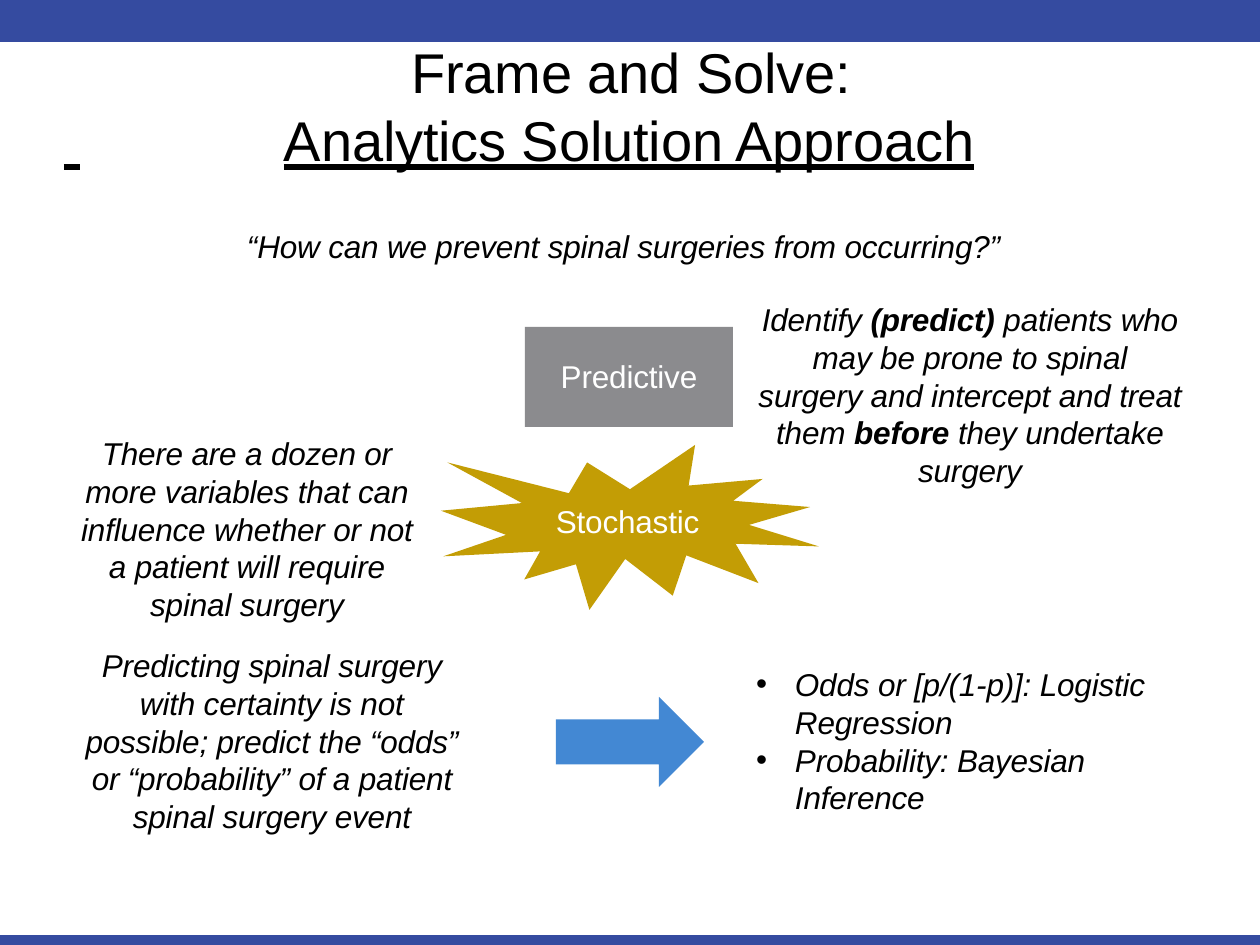
from pptx import Presentation
from pptx.dml.color import RGBColor as Rgb
from pptx.enum.shapes import MSO_CONNECTOR as Link, MSO_SHAPE as Kind
from pptx.enum.text import MSO_ANCHOR as Anchor, PP_ALIGN as Align
from pptx.enum.text import MSO_UNDERLINE as Under
from pptx.oxml.ns import qn
from pptx.util import Pt
from lxml.etree import SubElement as Sub

PX = 914400 // 126
HUES = {"bar": "354BA0", "box": "8B8B8E", "burst": "C39D05",
        "arrow": "4388D3", "ink": "000000", "pale": "FFFFFF"}


def hue(name):
    return Rgb.from_string(HUES[name])


def write(para, text, size=18, color="ink", italic=True, under=None,
          align=Align.CENTER, before=1, line=None, tabs=(), bullet=False):
    """Fill a paragraph; *stars* mark bold and newlines break the line."""
    para.alignment = align
    para.space_before = Pt(before)
    if line:
        para.line_spacing = Pt(line)
    props = para._p.get_or_add_pPr()
    if bullet:
        props.set("marL", str(42 * PX))
        props.set("indent", str(-39 * PX))
        Sub(props, qn("a:buFont"), typeface="Arial")
        Sub(props, qn("a:buChar"), char="•")
    if tabs:
        stops = Sub(props, qn("a:tabLst"))
        for stop in tabs:
            Sub(stops, qn("a:tab"), pos=str(stop * PX), algn="l")
    for num, part in enumerate(text.split("*")):
        for row, piece in enumerate(part.split("\n")):
            if row:
                para.add_line_break()
            if not piece:
                continue
            run = para.add_run()
            run.text = piece
            font = run.font
            font.name, font.size = "Arial", Pt(size)
            font.bold, font.italic = num % 2 == 1, italic
            font.underline = under
            font.color.rgb = hue(color)
            run._r.get_or_add_rPr().set("spc", "-10")


class Page:
    def __init__(self, deck):
        self.shapes = deck.slides.add_slide(deck.slide_layouts[6]).shapes

    def frame(self, shape, items, top=1):
        frame = shape.text_frame
        frame.word_wrap = True
        frame.margin_left = frame.margin_right = frame.margin_bottom = 0
        frame.margin_top = top * PX
        for num, (text, form) in enumerate(items):
            para = frame.add_paragraph() if num else frame.paragraphs[0]
            write(para, text, **form)
        return frame

    def text(self, box, *items):
        self.frame(self.shapes.add_textbox(*[n * PX for n in box]), items)

    def shape(self, kind, box, color, label=None):
        item = self.shapes.add_shape(kind, *[n * PX for n in box])
        item.shadow.inherit = False
        item.fill.solid()
        item.fill.fore_color.rgb = hue(color)
        item.line.fill.background()
        if label:
            form = dict(color="pale", italic=False, before=0)
            frame = self.frame(item, [(label, form)], top=0)
            frame.margin_bottom = 3 * PX
            frame.vertical_anchor = Anchor.MIDDLE

    def line(self, start, end, color, width):
        ends = [n * PX for n in start + end]
        item = self.shapes.add_connector(Link.STRAIGHT, *ends)
        item.line.color.rgb = hue(color)
        item.line.width = Pt(width)
        Sub(item._element.spPr, qn("a:effectLst"))


deck = Presentation()
deck.slide_width, deck.slide_height = 1260 * PX, 945 * PX
page = Page(deck)

# Bars at top and bottom
page.line((0, 940), (1260, 940), "bar", 6.12)
page.shape(Kind.RECTANGLE, (0, 0, 1260, 42), "bar")

# Title and question
head = dict(size=32, italic=False, line=38.4)
page.text((62, 37, 1138, 179),
          ("Frame and Solve:", head),
          (" \tAnalytics Solution Approach\t",
           dict(head, under=Under.HEAVY_LINE, before=0, tabs=(220, 1134))))
page.text((247, 226, 766, 42),
          ("“How can we prevent spinal surgeries from occurring?”",
           dict(align=Align.LEFT)))

# Method shapes
page.shape(Kind.EXPLOSION1, (441, 445, 378, 165), "burst", "Stochastic")
page.shape(Kind.RIGHT_ARROW, (556, 697, 148, 90), "arrow")
page.shape(Kind.RECTANGLE, (525, 327, 208, 100), "box", "Predictive")

# Explanations
page.text((753, 299, 434, 193),
          ("Identify *(predict)* patients who\nmay be prone to spinal\n"
           "surgery and intercept and treat\nthem *before* they undertake\n"
           "surgery", {}))
page.text((72, 433, 350, 193),
          ("There are a dozen or\nmore variables that can\n"
           "influence whether or not\na patient will require\n"
           "spinal surgery", {}))
page.text((77, 645, 390, 193),
          ("Predicting spinal surgery\nwith certainty is not\n"
           "possible; predict the “odds”\nor “probability” of a patient\n"
           "spinal surgery event", {}))

# Techniques
point = dict(align=Align.LEFT, bullet=True)
page.text((753, 664, 398, 155),
          ("Odds or [p/(1-p)]: Logistic Regression", point),
          ("Probability: Bayesian Inference", dict(point, before=0)))

deck.save("out.pptx")
